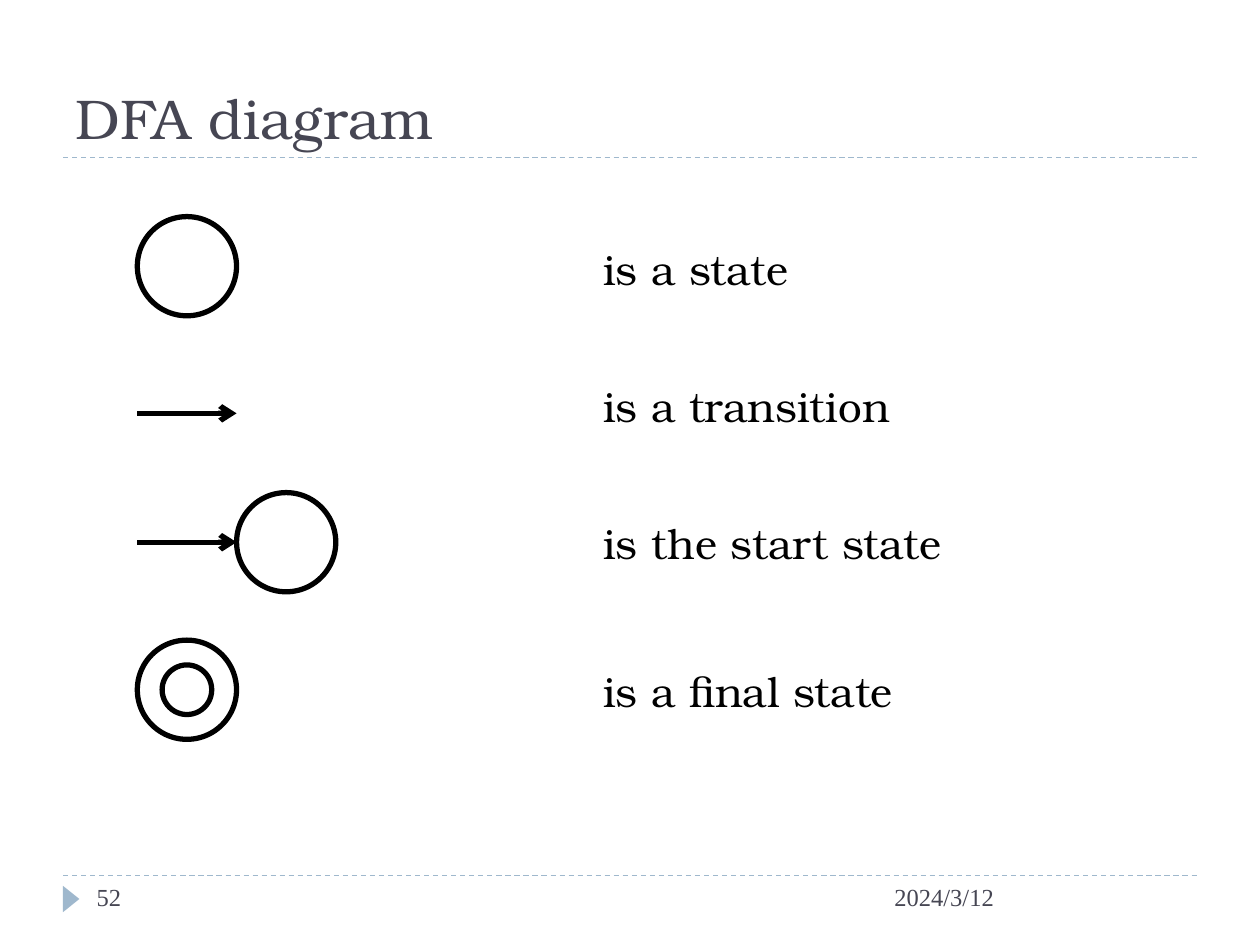
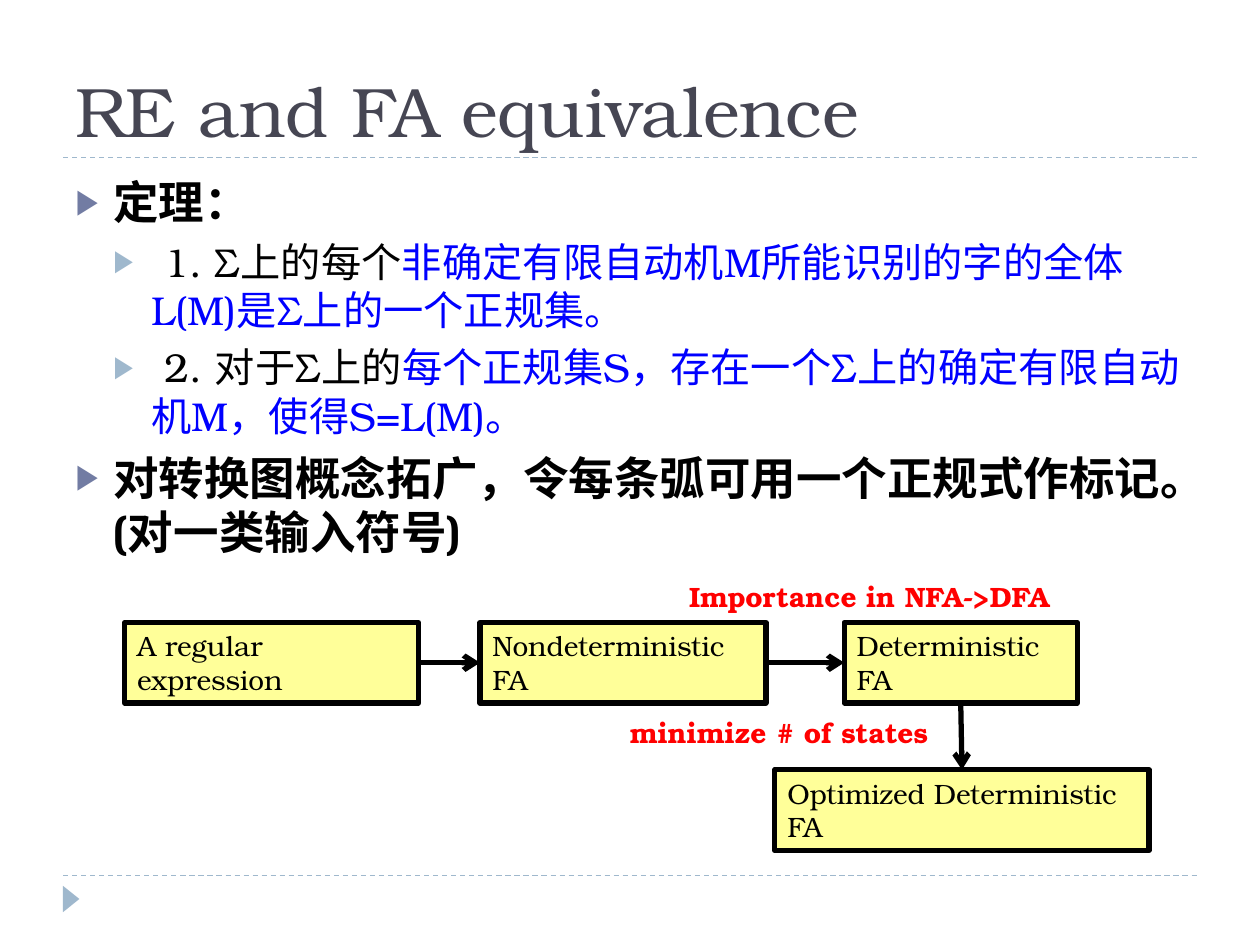
from lxml.etree import SubElement
from pptx import Presentation
from pptx.dml.color import RGBColor
from pptx.enum.dml import MSO_LINE
from pptx.enum.shapes import MSO_CONNECTOR, MSO_SHAPE
from pptx.enum.text import MSO_ANCHOR, MSO_AUTO_SIZE, PP_ALIGN
from pptx.oxml.ns import qn
from pptx.util import Pt

BLACK = RGBColor(0x00, 0x00, 0x00)
WHITE = RGBColor(0xFF, 0xFF, 0xFF)
BLUE = RGBColor(0x00, 0x00, 0xFF)
RED = RGBColor(0xFF, 0x00, 0x00)
YELLOW = RGBColor(0xFF, 0xFF, 0x99)
SLATE = RGBColor(0x46, 0x46, 0x53)
PALE_BLUE = RGBColor(0x9F, 0xB8, 0xCD)
INDIGO = RGBColor(0x72, 0x7C, 0xA3)

SERIF = "TeX Gyre Bonum"
FOOTER_FONT = "Times New Roman"
TITLE_ONLY, TITLE_AND_BODY = 5, 1
TOP, LEFT, BOTTOM, RIGHT = range(4)

SLIDE_WIDTH, SLIDE_HEIGHT = 720, 540
MARGIN = 36
TITLE_BOX = (MARGIN, 12.2, 648, 77.8)
BODY_BOX = (MARGIN, 95.8, 648, 388.8)
FOOTER_TOP = 500.4
SYMBOL_SIZE = 56.7
NODE_HEIGHT = 46

THEOREM = [
    (0, [("定理：", BLACK)]),
    (1, [(" 1. Σ上的每个", BLACK),
         ("非确定有限自动机M所能识别的字的全体L(M)是Σ上的一个正规集。", BLUE)]),
    (1, [(" 2. 对于Σ上的", BLACK),
         ("每个正规集S，存在一个Σ上的确定有限自动机M，使得S=L(M)。", BLUE)]),
    (0, [("对转换图概念拓广，令每条弧可用一个正规式作标记。(对一类输入符号)", BLACK)]),
]
BODY_LEVELS = [
    {"size": 26, "bold": True, "before": 6, "bullet": INDIGO},
    {"size": 23, "bold": False, "before": 5, "bullet": PALE_BLUE},
]


def write(paragraph, text, size=16, color=BLACK, font=SERIF, bold=False):
    """Append one formatted run to a paragraph."""
    run = paragraph.add_run()
    run.text = text
    run.font.size = Pt(size)
    run.font.name = font
    run.font.bold = bold
    run.font.color.rgb = color


def add_label(slide, text, box, wrap=True, **style):
    """Add a text box holding one line of formatted text."""
    frame = slide.shapes.add_textbox(*map(Pt, box)).text_frame
    frame.word_wrap = wrap
    write(frame.paragraphs[0], text, **style)


def add_figure(slide, kind, box, fill=WHITE, outline=BLACK):
    """Add a preset shape with a flat fill and an optional thick outline."""
    figure = slide.shapes.add_shape(kind, *map(Pt, box))
    figure.shadow.inherit = False
    figure.fill.solid()
    figure.fill.fore_color.rgb = fill
    if outline is None:
        figure.line.fill.background()
    else:
        figure.line.color.rgb = outline
        figure.line.width = Pt(3)
    return figure


def add_line(slide, start, end, color=BLACK, width=3, dashed=False, arrow=True):
    """Add a straight connector between two points."""
    line = slide.shapes.add_connector(MSO_CONNECTOR.STRAIGHT, *map(Pt, start + end))
    line.line.color.rgb = color
    line.line.width = Pt(width)
    if dashed:
        line.line.dash_style = MSO_LINE.DASH
    properties = line._element.spPr
    if arrow:
        SubElement(properties.find(qn("a:ln")), qn("a:tailEnd"), type="arrow")
    SubElement(properties, qn("a:effectLst"))
    return line


def place(placeholder, box, anchor):
    """Move a placeholder to a box and return its emptied text frame."""
    placeholder.left, placeholder.top, placeholder.width, placeholder.height = map(Pt, box)
    frame = placeholder.text_frame
    frame.word_wrap = True
    frame.auto_size = MSO_AUTO_SIZE.NONE
    frame.vertical_anchor = anchor
    return frame


def add_page(deck, layout, title, title_size):
    """Add a slide with the shared rules, footer marker and title."""
    slide = deck.slides.add_slide(deck.slide_layouts[layout])
    for y in (FOOTER_TOP, 90):
        add_line(slide, (MARGIN, y), (SLIDE_WIDTH - MARGIN, y),
                 PALE_BLUE, 0.75, dashed=True, arrow=False)
    marker = add_figure(slide, MSO_SHAPE.ISOSCELES_TRIANGLE,
                        (33.1, 509, 15.1, 9.4), PALE_BLUE, None)
    marker.rotation = 90
    heading = place(slide.shapes.title, TITLE_BOX, MSO_ANCHOR.BOTTOM).paragraphs[0]
    heading.alignment = PP_ALIGN.LEFT
    write(heading, title, size=title_size, color=SLATE)
    return slide


def add_footer(slide, number, date):
    """Write the slide number and the date below the lower rule."""
    for text, left, width in ((date, 504, 180), (number, 48.2, 156.2)):
        add_label(slide, text, (left, FOOTER_TOP, width, 28.8),
                  size=14, color=SLATE, font=FOOTER_FONT)


def add_legend(slide, left, top):
    """Draw the four diagram symbols with their meanings beside them."""
    size = SYMBOL_SIZE
    start_top, final_top = top + 157.7, top + 242
    add_figure(slide, MSO_SHAPE.OVAL, (left, top, size, size))
    transition_y, start_y = top + 112.4, start_top + size / 2
    for y in (transition_y, start_y):
        add_line(slide, (left, y), (left + size, y))
    add_figure(slide, MSO_SHAPE.OVAL, (left + size, start_top, size, size))
    add_figure(slide, MSO_SHAPE.DONUT, (left, final_top, size, size))
    meanings = {"is a state": 11.6, "is a transition": 90,
                "is the start state": 168.5, "is a final state": 252.8}
    for meaning, offset in meanings.items():
        add_label(slide, meaning, (left + 259.2, top + offset, 360, 36.7), size=24)


def add_bullet(paragraph, level, color):
    """Give a paragraph a hanging triangle bullet."""
    properties = paragraph._p.get_or_add_pPr()
    properties.set("marL", str(Pt(21.6 * (level + 1))))
    properties.set("indent", str(-Pt(21.6)))
    tint = SubElement(properties, qn("a:buClr"))
    SubElement(tint, qn("a:srgbClr"), val=str(color))
    SubElement(properties, qn("a:buSzPct"), val="76000")
    SubElement(properties, qn("a:buChar"), char="▶")


def add_theorem(slide, box):
    """Fill the body placeholder with the theorem and its two parts."""
    frame = place(slide.placeholders[1], box, MSO_ANCHOR.TOP)
    for index, (level, runs) in enumerate(THEOREM):
        paragraph = frame.add_paragraph() if index else frame.paragraphs[0]
        style = BODY_LEVELS[level]
        paragraph.level = level
        add_bullet(paragraph, level, style["bullet"])
        paragraph.space_before = Pt(style["before"] if index else 0)
        for text, color in runs:
            write(paragraph, text, size=style["size"], color=color, bold=style["bold"])


def add_node(slide, text, left, top, width):
    """Add one yellow box of the conversion chain."""
    node = add_figure(slide, MSO_SHAPE.RECTANGLE, (left, top, width, NODE_HEIGHT), YELLOW)
    frame = node.text_frame
    frame.word_wrap = True
    frame.vertical_anchor = MSO_ANCHOR.TOP
    frame.paragraphs[0].alignment = PP_ALIGN.LEFT
    write(frame.paragraphs[0], text)
    return node


def join(slide, source, source_side, target, target_side):
    """Join two boxes with an arrow."""
    arrow = add_line(slide, (0, 0), (0, 0))
    arrow.begin_connect(source, source_side)
    arrow.end_connect(target, target_side)


def add_conversion_chain(slide, left, top):
    """Draw the steps from a regular expression to the optimized automaton."""
    expression = add_node(slide, "A regular expression", left, top, 167.8)
    nondeterministic = add_node(slide, "Nondeterministic FA", left + 203, top, 163.4)
    deterministic = add_node(slide, "Deterministic FA", left + 411.1, top, 133.2)
    optimized = add_node(slide, "Optimized Deterministic FA", left + 371.5, top + 84.2, 213.8)
    add_label(slide, "minimize # of states", (left + 281.5, top + 49.7, 186.5, 26.6),
              wrap=False, color=RED, bold=True)
    add_label(slide, "Importance in NFA->DFA", (left + 315.4, top - 28.1, 247.7, 26.6),
              color=RED, bold=True)
    join(slide, expression, RIGHT, nondeterministic, LEFT)
    join(slide, nondeterministic, RIGHT, deterministic, LEFT)
    join(slide, deterministic, BOTTOM, optimized, TOP)


def main():
    """Build and save the two slides."""
    deck = Presentation()
    deck.slide_width, deck.slide_height = Pt(SLIDE_WIDTH), Pt(SLIDE_HEIGHT)

    diagram = add_page(deck, TITLE_ONLY, "DFA diagram", 32)
    add_footer(diagram, "52", "2024/3/12")
    add_legend(diagram, 78.5, 123.8)

    equivalence = add_page(deck, TITLE_AND_BODY, "RE and FA equivalence", 40)
    add_theorem(equivalence, BODY_BOX)
    add_conversion_chain(equivalence, 71.3, 355.7)

    deck.save("out.pptx")


if __name__ == "__main__":
    main()
